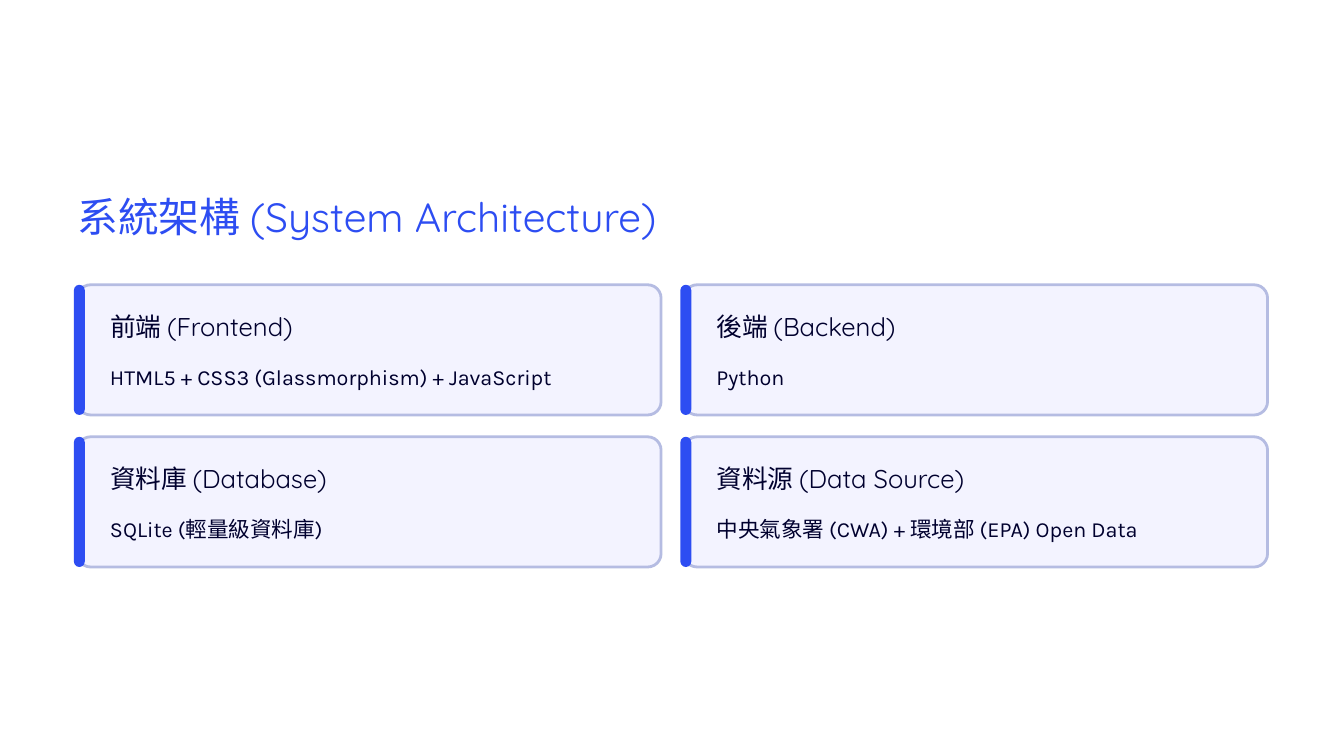
from dataclasses import dataclass

from lxml import etree
from pptx import Presentation
from pptx.dml.color import RGBColor
from pptx.enum.shapes import MSO_SHAPE
from pptx.enum.text import MSO_ANCHOR, MSO_AUTO_SIZE, PP_ALIGN
from pptx.oxml.ns import qn
from pptx.shapes.autoshape import Shape
from pptx.slide import Slide
from pptx.util import Inches, Pt

ROUND = MSO_SHAPE.ROUNDED_RECTANGLE
TOP = MSO_ANCHOR.TOP
LEFT = PP_ALIGN.LEFT
FIXED = MSO_AUTO_SIZE.NONE

BLUE = "2D4DF2"
NAVY = "00002E"
PALE = "F3F3FF"
EDGE = "B5BCE2"


@dataclass
class Style:
    font: str
    size: float
    space: float
    color: str


@dataclass
class Card:
    head: str
    body: str


TITLE = Style("Quicksand", 35, 44, BLUE)
HEAD = Style("Quicksand", 22, 27.5, NAVY)
BODY = Style("Karla", 18.5, 30, NAVY)

CARDS = [
    Card("前端 (Frontend)", "HTML5 + CSS3 (Glassmorphism) + JavaScript"),
    Card("後端 (Backend)", "Python"),
    Card("資料庫 (Database)", "SQLite (輕量級資料庫)"),
    Card("資料源 (Data Source)", "中央氣象署 (CWA) + 環境部 (EPA) Open Data"),
]
COLS = 2
X, Y = 0.92, 3.39
STEP_X, STEP_Y = 7.22, 1.81
WIDTH, HEIGHT = 6.95, 1.55


def paint(code: str) -> RGBColor:
    return RGBColor.from_string(code)


def write(box: Shape, text: str, style: Style) -> None:
    frame = box.text_frame
    frame.margin_left = frame.margin_right = 0
    frame.margin_top = frame.margin_bottom = 0
    frame.word_wrap = False
    frame.auto_size = FIXED
    frame.vertical_anchor = TOP
    frame.text = text
    para = frame.paragraphs[0]
    para.alignment = LEFT
    para.line_spacing = Pt(style.space)
    para.font.name = style.font
    para.font.size = Pt(style.size)
    para.font.color.rgb = paint(style.color)


def label(slide: Slide, x: float, y: float, w: float, h: float,
          text: str, style: Style) -> None:
    box = slide.shapes.add_textbox(Inches(x), Inches(y), Inches(w), Inches(h))
    write(box, text, style)


def panel(slide: Slide, x: float, y: float, w: float,
          curve: float, color: str) -> Shape:
    shape = slide.shapes.add_shape(
        ROUND, Inches(x), Inches(y), Inches(w), Inches(HEIGHT))
    shape.adjustments[0] = curve
    shape.shadow.inherit = False
    shape.fill.solid()
    shape.fill.fore_color.rgb = paint(color)
    shape.line.fill.background()
    return shape


def draw(slide: Slide, card: Card, x: float, y: float) -> None:
    back = panel(slide, x, y, WIDTH, 0.103, PALE)
    tint = back.fill._xPr.find(qn("a:solidFill"))[0]
    etree.SubElement(tint, qn("a:alpha"), val="95000")
    back.line.color.rgb = paint(EDGE)
    back.line.width = Pt(2.4)
    panel(slide, x - 0.04, y, 0.13, 0.5, BLUE)
    label(slide, x + 0.39, y + 0.29, 3.08, 0.38, card.head, HEAD)
    label(slide, x + 0.39, y + 0.83, 6.26, 0.42, card.body, BODY)


def main() -> None:
    deck = Presentation()
    deck.slide_width, deck.slide_height = Inches(16), Inches(9)
    slide = deck.slides.add_slide(deck.slide_layouts[5])
    title = slide.shapes.title
    title.left, title.top = Inches(X), Inches(2.25)
    title.width, title.height = Inches(7.5), Inches(0.62)
    write(title, "系統架構 (System Architecture)", TITLE)
    for i, card in enumerate(CARDS):
        row, col = divmod(i, COLS)
        draw(slide, card, X + col * STEP_X, Y + row * STEP_Y)
    deck.save("out.pptx")


if __name__ == "__main__":
    main()
